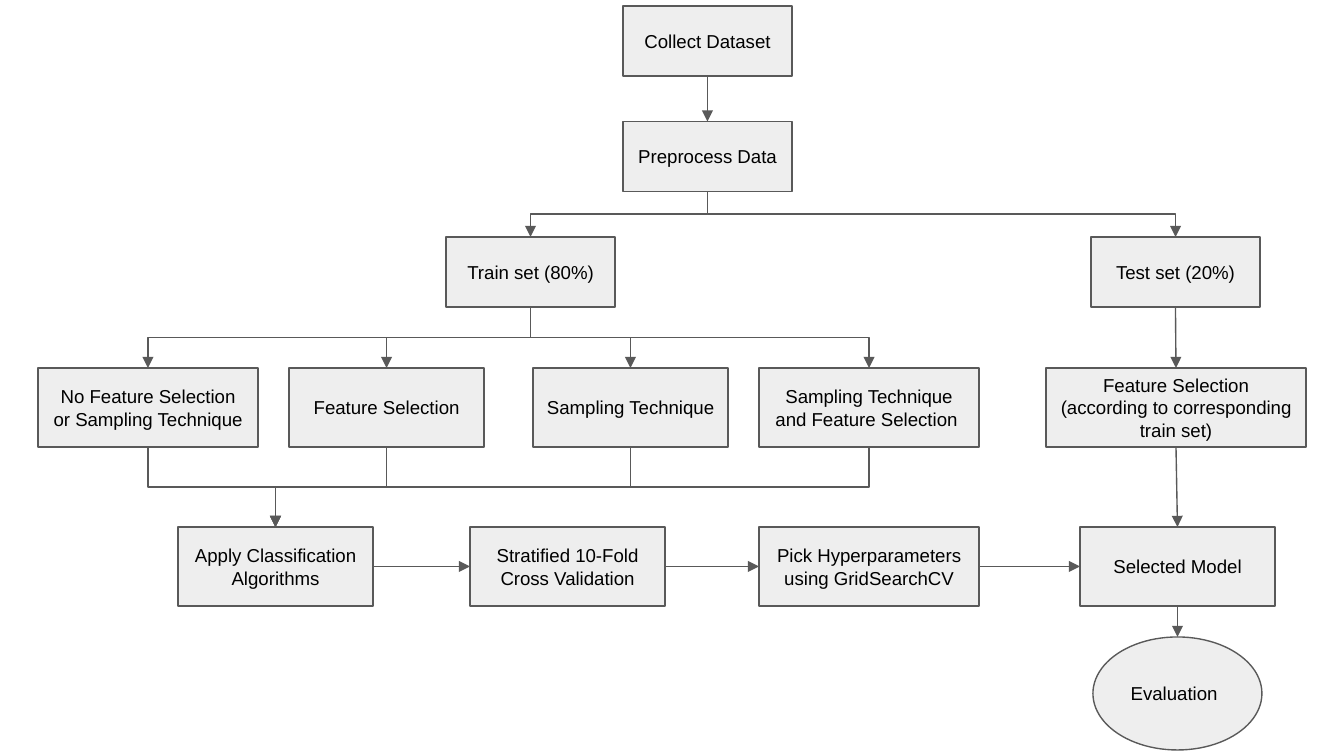
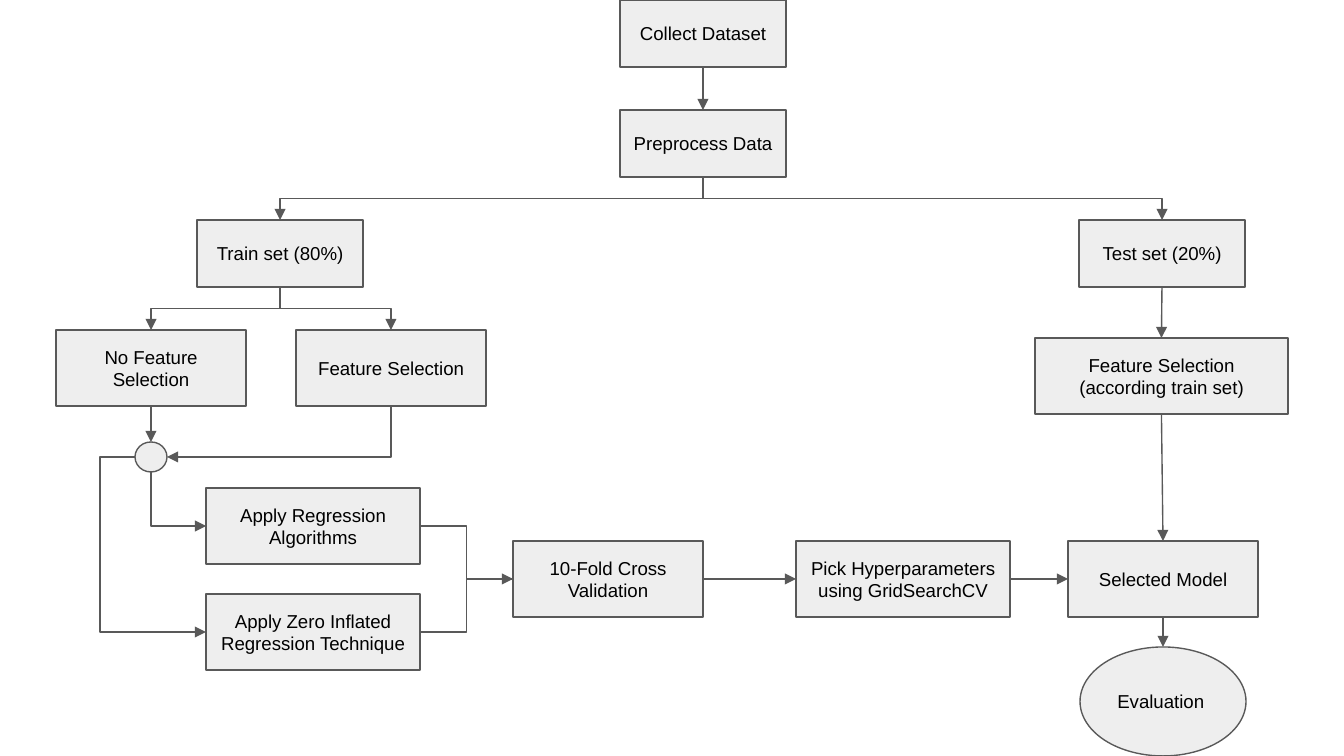
from lxml import etree
from pptx import Presentation
from pptx.dml.color import RGBColor
from pptx.enum.shapes import MSO_CONNECTOR, MSO_SHAPE
from pptx.enum.text import MSO_ANCHOR, PP_ALIGN
from pptx.oxml.ns import qn
from pptx.util import Emu, Pt

RECT = MSO_SHAPE.RECTANGLE
OVAL = MSO_SHAPE.OVAL
JOINT = MSO_SHAPE.FLOWCHART_CONNECTOR
STRAIGHT = MSO_CONNECTOR.STRAIGHT
ELBOW = MSO_CONNECTOR.ELBOW
MIDDLE = MSO_ANCHOR.MIDDLE
LEFT_ALIGNED = PP_ALIGN.LEFT
CENTERED = PP_ALIGN.CENTER

EMU_PER_PIXEL = 914400 / 134.4
FILL = "EEEEEE"
OUTLINE = "595959"
INK = "000000"
FONT = "Arial"
TEXT_SIZE = Pt(10)
LINE_WIDTH = Pt(0.75)
INSET = 13
ALIGNED_WITHIN = 3
SIDES = ("top", "left", "bottom", "right")
BLANK_LAYOUT = 6


def px(length):
    return Emu(round(length * EMU_PER_PIXEL))


def color(value):
    return RGBColor.from_string(value)


def draw_line(line):
    line.color.rgb = color(OUTLINE)
    line.width = LINE_WIDTH


def node(slide, text, left, top, width, height, kind=RECT, align=CENTERED):
    shape = slide.shapes.add_shape(kind, px(left), px(top), px(width), px(height))
    shape.shadow.inherit = False
    shape.fill.solid()
    shape.fill.fore_color.rgb = color(FILL)
    draw_line(shape.line)
    frame = shape.text_frame
    frame.word_wrap = True
    frame.vertical_anchor = MIDDLE
    frame.margin_left = frame.margin_right = px(INSET)
    frame.margin_top = frame.margin_bottom = px(INSET)
    if text:
        frame.text = text
        paragraph = frame.paragraphs[0]
        paragraph.alignment = align
        font = paragraph.runs[0].font
        font.name = FONT
        font.size = TEXT_SIZE
        font.color.rgb = color(INK)
    return shape


def row(slide, top, height, *steps):
    return [node(slide, text, left, top, width, height) for text, left, width in steps]


def anchor(shape, side):
    center_x = shape.left + shape.width // 2
    center_y = shape.top + shape.height // 2
    return {
        "top": (center_x, shape.top),
        "left": (shape.left, center_y),
        "bottom": (center_x, shape.top + shape.height),
        "right": (shape.left + shape.width, center_y),
    }[side]


def glue(connector, tag, shape, side):
    sites_per_side = 1 if shape.auto_shape_type == RECT else 2
    site = SIDES.index(side) * sites_per_side
    properties = connector._element.nvCxnSpPr.cNvCxnSpPr
    etree.SubElement(properties, qn(tag), id=str(shape.shape_id), idx=str(site))


def bend_path(connector, begin, end, downward, corner, bend):
    dx, dy = end[0] - begin[0], end[1] - begin[1]
    frame = connector._element.spPr.find(qn("a:xfrm"))
    for flip in ("flipH", "flipV"):
        frame.attrib.pop(flip, None)
    width, height = abs(dx), abs(dy)
    if downward:
        width, height = height, width
        connector.rotation = 90 if dx < 0 else 270
        if dx > 0:
            frame.set("flipH", "1")
    elif dy < 0:
        frame.set("flipV", "1")
    connector.left = Emu((begin[0] + end[0] - width) // 2)
    connector.top = Emu((begin[1] + end[1] - height) // 2)
    connector.width, connector.height = Emu(width), Emu(height)
    geometry = connector._element.spPr.find(qn("a:prstGeom"))
    if corner:
        geometry.set("prst", "bentConnector2")
    else:
        adjustments = geometry.find(qn("a:avLst"))
        etree.SubElement(adjustments, qn("a:gd"), name="adj1",
                         fmla=f"val {round(bend * 100000)}")


def link(slide, source, target, leave="bottom", enter="top", bend=0.5, arrow=True):
    begin, end = anchor(source, leave), anchor(target, enter)
    offset = min(abs(end[0] - begin[0]), abs(end[1] - begin[1]))
    straight = offset <= px(ALIGNED_WITHIN)
    connector = slide.shapes.add_connector(STRAIGHT if straight else ELBOW, *begin, *end)
    if not straight:
        downward = leave == "bottom"
        corner = downward != (enter == "top")
        bend_path(connector, begin, end, downward, corner, bend)
    glue(connector, "a:stCxn", source, leave)
    glue(connector, "a:endCxn", target, enter)
    draw_line(connector.line)
    if arrow:
        etree.SubElement(connector.line._get_or_add_ln(), qn("a:tailEnd"), type="triangle")
    etree.SubElement(connector._element.spPr, qn("a:effectLst"))


def chain(slide, steps):
    for source, target in zip(steps, steps[1:]):
        link(slide, source, target, "right", "left")


def opening(slide, left, top, pitch, width, height, train_left, test_left):
    collect, = row(slide, top, height, ("Collect Dataset", left, width))
    preprocess, = row(slide, top + pitch, height, ("Preprocess Data", left, width))
    train, test = row(slide, top + 2 * pitch, height,
                      ("Train set (80%)", train_left, width),
                      ("Test set (20%)", test_left, width))
    link(slide, collect, preprocess)
    for subset in (train, test):
        link(slide, preprocess, subset)
    return train, test


def closing(slide, test, test_features, model, left, top, width, height):
    evaluation = node(slide, "Evaluation", left, top, width, height, OVAL, LEFT_ALIGNED)
    for source, target in ((test, test_features), (test_features, model), (model, evaluation)):
        link(slide, source, target)


def classification_flow(slide):
    train, test = opening(slide, 623, 6, 115.5, 169, 70, 446, 1091)
    *variants, test_features = row(
        slide, 368, 79,
        ("No Feature Selection or Sampling Technique", 38, 220),
        ("Feature Selection", 289, 195),
        ("Sampling Technique", 533, 195),
        ("Sampling Technique and Feature Selection ", 759, 220),
        ("Feature Selection (according to corresponding train set)", 1046, 260))
    stages = row(
        slide, 527, 79,
        ("Apply Classification Algorithms", 178, 195),
        ("Stratified 10-Fold Cross Validation", 470, 195),
        ("Pick Hyperparameters using GridSearchCV", 759, 220),
        ("Selected Model", 1080, 195))
    for variant in variants:
        link(slide, train, variant)
        link(slide, variant, stages[0])
    chain(slide, stages)
    closing(slide, test, test_features, stages[-1], 1093, 637, 169, 113)


def regression_flow(slide):
    train, test = opening(slide, 620, 0, 110, 166, 67, 197, 1079)
    unselected, selected = row(slide, 330, 76,
                               ("No Feature Selection", 56, 190),
                               ("Feature Selection", 296, 190))
    test_features, = row(slide, 338, 76,
                         ("Feature Selection (according train set)", 1035, 253))
    junction = node(slide, "", 135, 442, 32, 30, JOINT)
    regression, = row(slide, 488, 76, ("Apply Regression Algorithms", 206, 214))
    zero_inflated, = row(slide, 594, 76,
                         ("Apply Zero Inflated Regression Technique", 206, 214))
    stages = row(
        slide, 541, 76,
        ("10-Fold Cross Validation", 513, 190),
        ("Pick Hyperparameters using GridSearchCV", 796, 214),
        ("Selected Model", 1068, 190))
    for variant in (unselected, selected):
        link(slide, train, variant)
    link(slide, unselected, junction)
    link(slide, selected, junction, enter="right")
    link(slide, junction, regression, enter="left")
    link(slide, junction, zero_inflated, "left", "left", bend=-0.49)
    link(slide, zero_inflated, stages[0], "right", "left", arrow=False)
    link(slide, regression, stages[0], "right", "left")
    chain(slide, stages)
    closing(slide, test, test_features, stages[-1], 1080, 647, 166, 109)


def main():
    deck = Presentation()
    deck.slide_width, deck.slide_height = px(1344), px(756)
    for draw_flow in (classification_flow, regression_flow):
        draw_flow(deck.slides.add_slide(deck.slide_layouts[BLANK_LAYOUT]))
    deck.save("out.pptx")


main()
